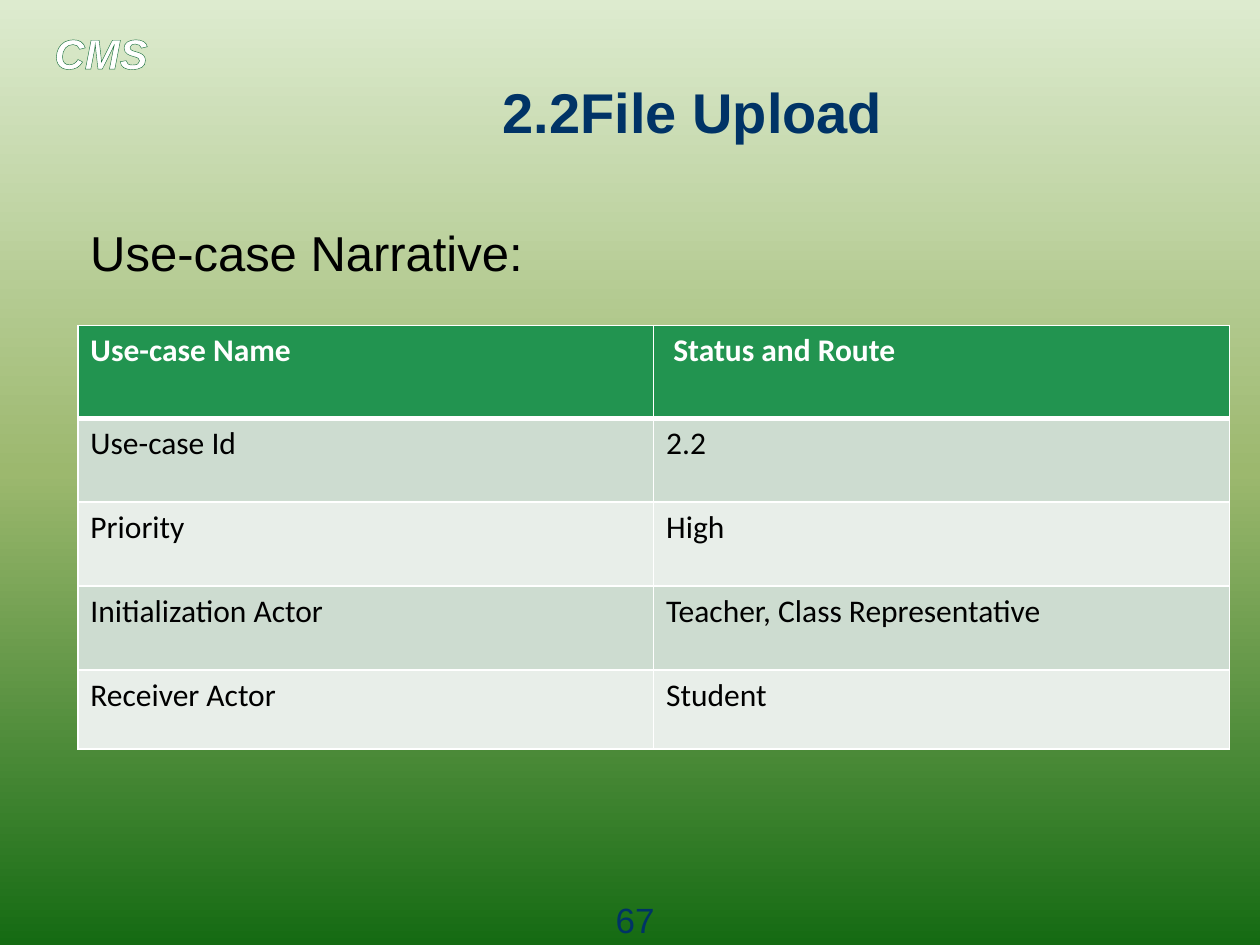
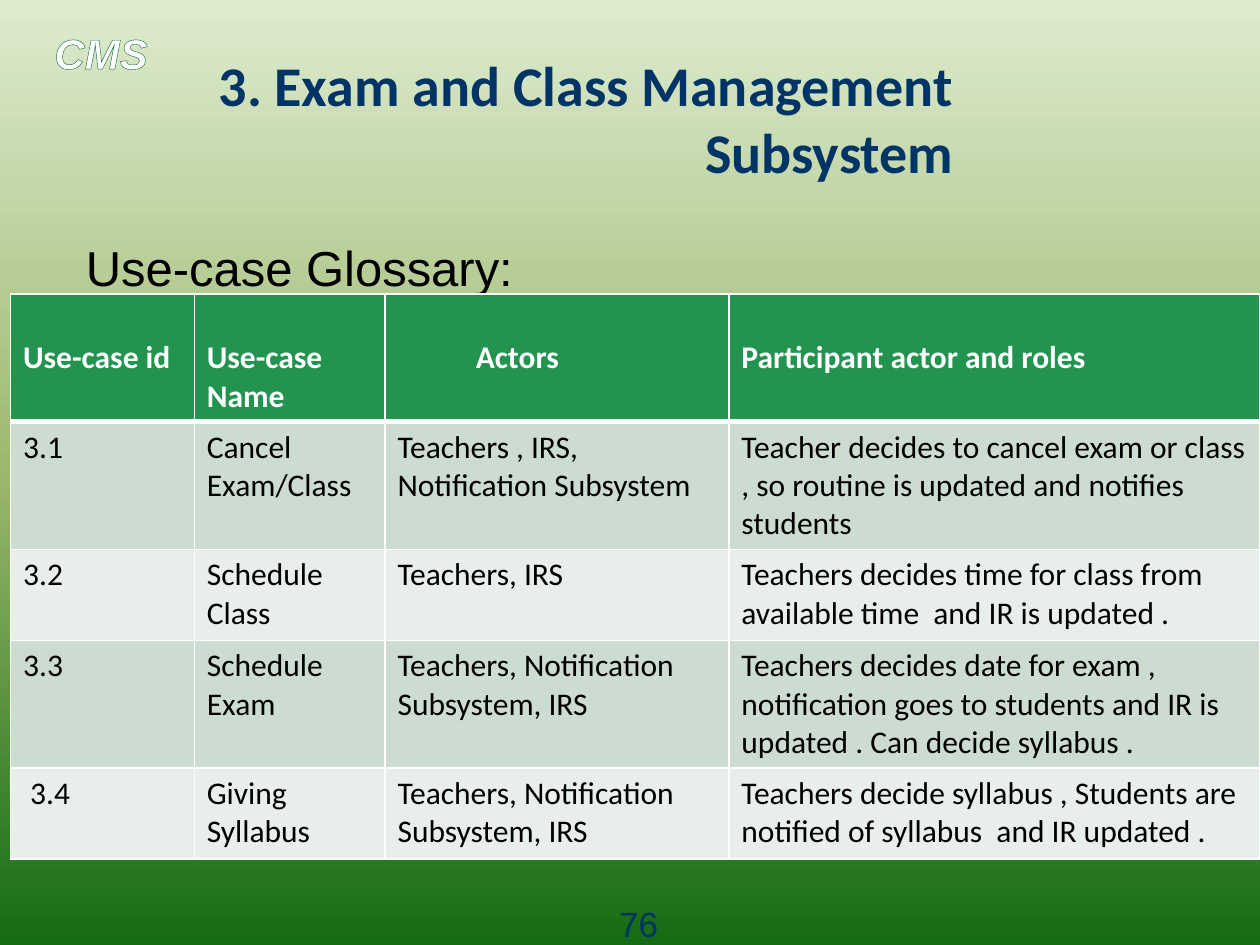
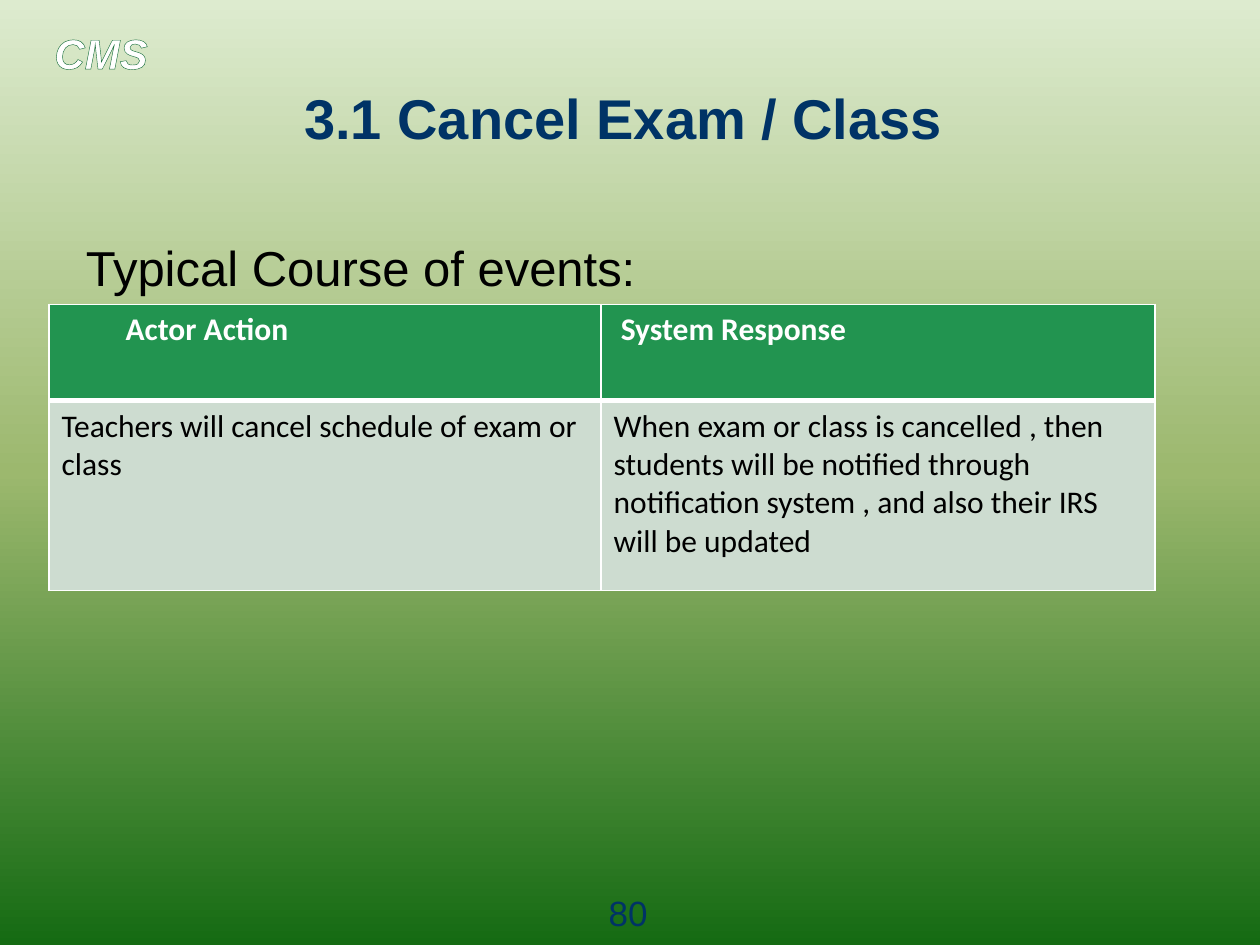
"""Build three use-case slides with a shared heading style and table design."""
import copy
from dataclasses import dataclass, field
from typing import Any

import lxml.etree
import pptx
import pptx.dml.color
import pptx.enum.text
import pptx.oxml.ns
import pptx.util

Pt = pptx.util.Pt
qn = pptx.oxml.ns.qn
ALIGN = pptx.enum.text.PP_ALIGN
ANCHOR = pptx.enum.text.MSO_ANCHOR

WHITE, BLACK, NAVY = "FFFFFF", "000000", "003366"
OUTLINE, HEADER = "196F3C", "229450"
BANDS = ("CDDCD0", "E8EEE9")
BACKGROUND = ((0, "DDEBCF"), (0.5, "9CB86E"), (1, "156B13"))
MARGIN = 7.2

BRAND = {"size": Pt(24), "name": "Arial", "bold": True, "italic": True}
TITLE = {"size": Pt(32), "bold": True}
HEADING = {"size": Pt(28), "name": "Arial"}
NUMBER = {"size": Pt(20), "name": "Arial"}
CELL = {"size": Pt(18), "name": "Calibri"}


@dataclass
class Box:
    left: float
    top: float
    width: float
    height: float


@dataclass
class Grid:
    left: float
    top: float
    cols: list[float]
    heights: list[float]
    rows: list[list[str]]
    header_drop: float = 0
    header_indents: dict[int, float] = field(default_factory=dict)


@dataclass
class UseCase:
    title: str
    title_font: str
    title_at: tuple[float, float]
    heading: str
    heading_at: tuple[float, float]
    number: str
    number_box: Box
    grid: Grid


USE_CASES = [
    UseCase(
        "2.2File Upload ", "Arial", (16.5, 44.5),
        "Use-case Narrative:", (44.5, 118),
        "67", Box(330, 510, 66, 21),
        Grid(44.5, 186, [329, 329], [53, 48, 48, 48, 45], [
            ["Use-case Name", " Status and Route"],
            ["Use-case Id", "2.2"],
            ["Priority", "High"],
            ["Initialization Actor", "Teacher, Class Representative"],
            ["Receiver Actor", "Student"],
        ]),
    ),
    UseCase(
        "3. Exam and Class Management Subsystem", "Calibri", (48, 48),
        "Use-case Glossary:", (42, 126.5),
        "76", Box(332, 512, 66, 28),
        Grid(6, 168, [105, 109, 196.5, 303.5], [73, 73, 52, 73, 52], [
            ["Use-case id", "Use-case Name", "Actors",
             "Participant actor and roles"],
            ["3.1", "Cancel Exam/Class",
             "Teachers , IRS, Notification Subsystem",
             "Teacher decides to cancel exam or class , so routine is "
             "updated and notifies students"],
            ["3.2", "Schedule Class", "Teachers, IRS",
             "Teachers decides time for class from available time  and "
             "IR is updated ."],
            ["3.3", "Schedule Exam", "Teachers, Notification Subsystem, IRS",
             "Teachers decides date for exam , notification goes to "
             "students and IR is updated . Can decide syllabus ."],
            [" 3.4", "Giving Syllabus",
             "Teachers, Notification Subsystem, IRS",
             "Teachers decide syllabus , Students are notified of "
             "syllabus  and IR updated ."],
        ], header_drop=22, header_indents={2: 44.7}),
    ),
    UseCase(
        "3.1 Cancel Exam / Class", "Arial", (42, 48),
        "Typical Course of events:", (42, 126.5),
        "80", Box(326, 506, 66, 21),
        Grid(28, 174, [315.5, 316.5], [55, 108.5], [
            ["Actor Action", " System Response"],
            ["Teachers will cancel schedule of exam or class",
             "When exam or class is cancelled , then students will be "
             "notified through notification system , and also their IRS "
             "will be updated"],
        ], header_indents={0: 36.6}),
    ),
]


def rgb(value: str) -> pptx.dml.color.RGBColor:
    """Turn a hex string into a colour."""
    return pptx.dml.color.RGBColor.from_string(value)


def apply(obj: Any, values: dict[str, Any]) -> None:
    """Set each named value on an object."""
    for name, value in values.items():
        setattr(obj, name, value)


def add_line(parent: Any, tag: str, width: float, color: str) -> Any:
    """Append a solid line element to the parent."""
    ln = lxml.etree.SubElement(parent, qn(tag), w=str(Pt(width)))
    fill = lxml.etree.SubElement(ln, qn("a:solidFill"))
    lxml.etree.SubElement(fill, qn("a:srgbClr"), val=color)
    return ln


def write(p: Any, text: str, font: dict[str, Any], color: str) -> Any:
    """Add a formatted run to a paragraph."""
    r = p.add_run()
    r.text = text
    apply(r.font, font)
    r.font.color.rgb = rgb(color)
    return r


def add_text(s: Any, box: Box, text: str, font: dict[str, Any], color: str,
             align: Any = ALIGN.LEFT, **frame: Any) -> Any:
    """Draw a one-paragraph text box and return its run."""
    sp = s.shapes.add_textbox(
        Pt(box.left), Pt(box.top), Pt(box.width), Pt(box.height))
    tf = sp.text_frame
    apply(tf, {"word_wrap": True, **frame})
    p = tf.paragraphs[0]
    p.alignment = align
    return write(p, text, font, color)


def add_brand(s: Any) -> None:
    """Draw the outlined course label in the corner."""
    r = add_text(s, Box(24, 12, 108, 36), "CMS", BRAND, WHITE)
    rPr = r.font._element
    rPr.insert(0, add_line(rPr, "a:ln", 1, OUTLINE))


def add_grid(s: Any, grid: Grid) -> None:
    """Draw a table with a green header and banded rows."""
    table = s.shapes.add_table(
        len(grid.rows), len(grid.cols), Pt(grid.left), Pt(grid.top),
        Pt(sum(grid.cols)), Pt(sum(grid.heights))).table
    for column, width in zip(table.columns, grid.cols):
        column.width = Pt(width)
    for i, (row, height) in enumerate(zip(table.rows, grid.heights)):
        row.height = Pt(height)
        for j, cell in enumerate(row.cells):
            head = i == 0
            tcPr = cell._tc.get_or_add_tcPr()
            widths = {"L": 1, "R": 1, "T": 3 if i == 1 else 1,
                      "B": 3 if head else 1}
            for side, width in widths.items():
                add_line(tcPr, f"a:ln{side}", width, WHITE)
            cell.fill.solid()
            cell.fill.fore_color.rgb = rgb(
                HEADER if head else BANDS[(i - 1) % 2])
            if head:
                apply(cell, {
                    "margin_left": Pt(MARGIN + grid.header_indents.get(j, 0)),
                    "margin_top": Pt(MARGIN / 2 + grid.header_drop)})
            write(cell.text_frame.paragraphs[0], grid.rows[i][j],
                  {**CELL, "bold": head}, WHITE if head else BLACK)


def set_background(master: Any) -> None:
    """Give the master its vertical green gradient."""
    fill = master.background.fill
    fill.gradient()
    fill.gradient_angle = 270
    last = fill.gradient_stops[1]._gs
    last.addprevious(copy.deepcopy(last))
    for stop, (position, color) in zip(fill.gradient_stops, BACKGROUND):
        stop.position = position
        stop.color.rgb = rgb(color)


def add_use_case(prs: Any, case: UseCase) -> None:
    """Add one slide for a use case."""
    s = prs.slides.add_slide(prs.slide_layouts[6])
    add_brand(s)
    add_text(s, Box(*case.title_at, 504, 38), case.title,
             {**TITLE, "name": case.title_font}, NAVY, ALIGN.RIGHT,
             vertical_anchor=ANCHOR.MIDDLE)
    add_text(s, Box(*case.heading_at, 645, 371), case.heading, HEADING, BLACK,
             margin_top=Pt(9.2))
    add_grid(s, case.grid)
    add_text(s, case.number_box, case.number, NUMBER, NAVY, ALIGN.CENTER)


def main() -> None:
    """Build and save the presentation."""
    prs = pptx.Presentation()
    apply(prs, {"slide_width": Pt(720), "slide_height": Pt(540)})
    set_background(prs.slide_master)
    for case in USE_CASES:
        add_use_case(prs, case)
    prs.save("out.pptx")


if __name__ == "__main__":
    main()
